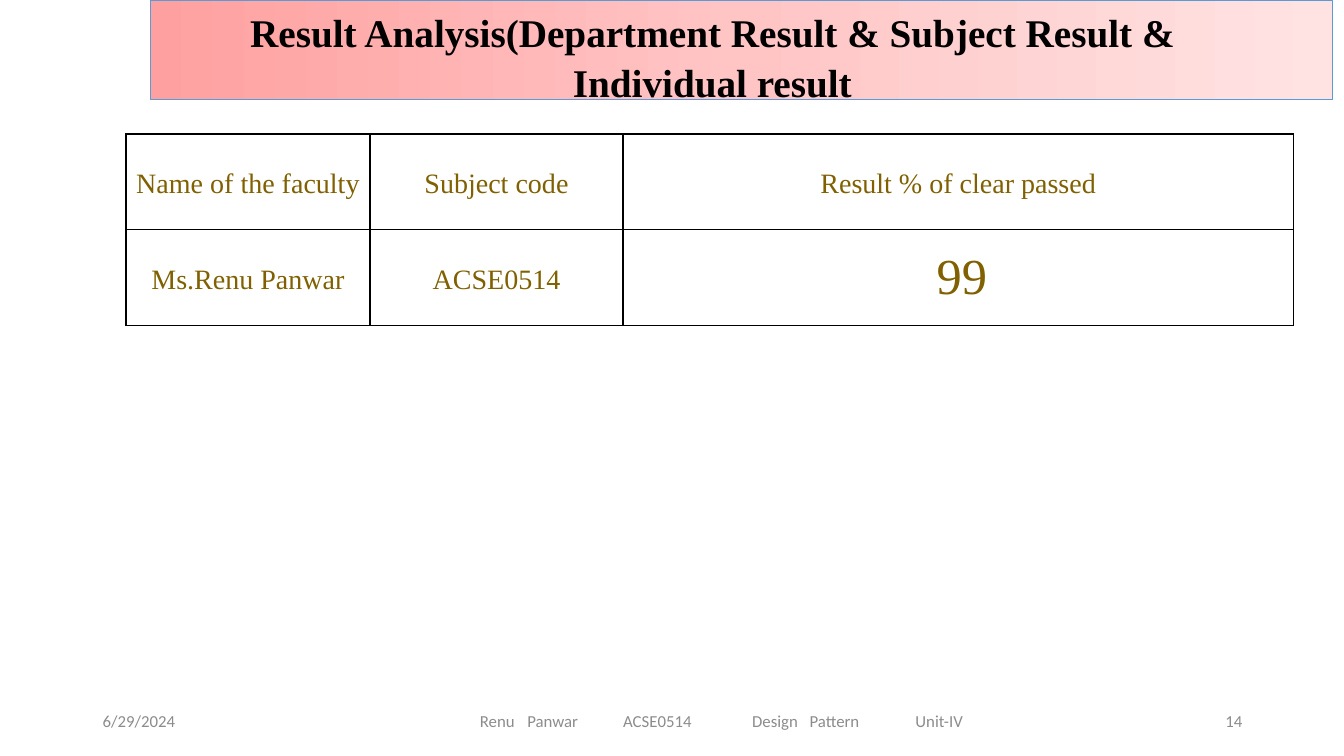
from pptx import Presentation
from pptx.dml.color import RGBColor
from pptx.enum.shapes import MSO_SHAPE
from pptx.enum.text import MSO_ANCHOR as ANCHOR, PP_ALIGN as ALIGN
from pptx.oxml.ns import qn
from pptx.util import Inches, Pt
from lxml.etree import SubElement
from copy import deepcopy

BLACK = RGBColor(0x00, 0x00, 0x00)
WHITE = RGBColor(0xFF, 0xFF, 0xFF)
GRAY = RGBColor(0x8C, 0x8C, 0x8C)
OLIVE = RGBColor(0x80, 0x60, 0x00)
BLUE = RGBColor(0x5B, 0x9B, 0xD5)
PINKS = [RGBColor(0xFF, 0xA0, 0xA0), RGBColor(0xFF, 0xC5, 0xC5),
         RGBColor(0xFF, 0xE3, 0xE3)]


class SlideBuilder:
    heading_font = "Times New Roman"
    footer_font = "Calibri"

    def __init__(self, slide):
        self.slide = slide

    def style(self, p, name, size, color, align, bold=False):
        p.alignment = align
        font = p.font
        font.name, font.size, font.bold = name, Pt(size), bold
        font.color.rgb = color

    def banner(self, x, y, w, h, colors):
        sp = self.slide.shapes.add_shape(
            MSO_SHAPE.RECTANGLE, Inches(x), Inches(y), Inches(w), Inches(h))
        sp.shadow.inherit = False
        sp.line.color.rgb = BLUE
        sp.line.width = Pt(0.5)
        sp.fill.gradient()
        sp.fill.gradient_angle = 0
        stops = sp._element.spPr.find(qn("a:gradFill")).find(qn("a:gsLst"))
        stops.append(deepcopy(stops[-1]))
        for i, (stop, color) in enumerate(zip(sp.fill.gradient_stops, colors)):
            stop.color.rgb = color
            stop.position = i / (len(colors) - 1)

    def text_box(self, x, y, w, h, text, anchor):
        sp = self.slide.shapes.add_textbox(
            Inches(x), Inches(y), Inches(w), Inches(h))
        tf = sp.text_frame
        tf.word_wrap = True
        tf.vertical_anchor = anchor
        p = tf.paragraphs[0]
        p.add_run().text = text
        return tf, p

    def title(self, x, y, w, h, text):
        _, p = self.text_box(x, y, w, h, text, ANCHOR.TOP)
        p.line_spacing = 1.07
        p.space_after = Pt(8)
        self.style(p, self.heading_font, 28, BLACK, ALIGN.CENTER, bold=True)

    def footer(self, x, w, text, align=ALIGN.LEFT, inset=0.1, tabs=()):
        tf, p = self.text_box(x, 6.95, w, 0.4, text, ANCHOR.MIDDLE)
        tf.margin_left = Inches(inset)
        if tabs:
            tab_list = SubElement(p._p.get_or_add_pPr(), qn("a:tabLst"))
            for pos in tabs:
                SubElement(tab_list, qn("a:tab"),
                           pos=str(Inches(pos)), algn="l")
        self.style(p, self.footer_font, 12, GRAY, align)

    def cell_borders(self, cell):
        props = cell._tc.get_or_add_tcPr()
        for side in ("lnL", "lnR", "lnT", "lnB"):
            ln = SubElement(props, qn(f"a:{side}"), w=str(Pt(1)))
            fill = SubElement(ln, qn("a:solidFill"))
            SubElement(fill, qn("a:srgbClr"), val=str(BLACK))

    def table(self, x, y, widths, row_height, rows):
        table = self.slide.shapes.add_table(
            len(rows), len(widths), Inches(x), Inches(y),
            Inches(sum(widths)), Inches(row_height * len(rows))).table
        table.first_row = table.horz_banding = False
        for col, width in zip(table.columns, widths):
            col.width = Inches(width)
        for r, row in enumerate(rows):
            table.rows[r].height = Inches(row_height)
            for c, text in enumerate(row):
                cell = table.cell(r, c)
                self.cell_borders(cell)
                cell.fill.solid()
                cell.fill.fore_color.rgb = WHITE
                cell.vertical_anchor = ANCHOR.MIDDLE
                cell.margin_left = cell.margin_right = Inches(0.07)
                cell.margin_top = cell.margin_bottom = 0
                cell.text = text
                p = cell.text_frame.paragraphs[0]
                # The pass rate is set large and slightly indented
                is_rate = text.isdigit()
                if is_rate:
                    p._p.get_or_add_pPr().set("marL", str(Inches(0.07)))
                else:
                    p.line_spacing = 1.15
                self.style(p, self.heading_font, 36 if is_rate else 20,
                           OLIVE, ALIGN.CENTER)


def main():
    prs = Presentation()
    prs.slide_width, prs.slide_height = Inches(13.33), Inches(7.5)
    s = SlideBuilder(prs.slides.add_slide(prs.slide_layouts[6]))

    # Banner behind the title
    s.banner(1.49, 0, 11.73, 0.99, PINKS)

    # Footer: date, course line, slide number
    s.footer(0.92, 3, "6/29/2024")
    s.footer(4.42, 5.5, "Renu\tPanwar\tACSE0514\tDesign\tPattern\tUnit-IV",
             inset=0.34, tabs=(0.47, 1.42, 2.7, 3.27, 4.32))
    s.footer(9.42, 3, "14", ALIGN.RIGHT)

    # Results
    s.table(1.25, 1.33, [2.42, 2.51, 6.65], 0.95, [
        ["Name of the faculty", "Subject code", "Result % of clear passed"],
        ["Ms.Renu Panwar", "ACSE0514", "99"],
    ])

    # Title
    s.title(1.72, 0, 10.69, 1.08,
            "Result Analysis(Department Result & Subject Result & "
            "Individual result")

    prs.save("out.pptx")


if __name__ == "__main__":
    main()
